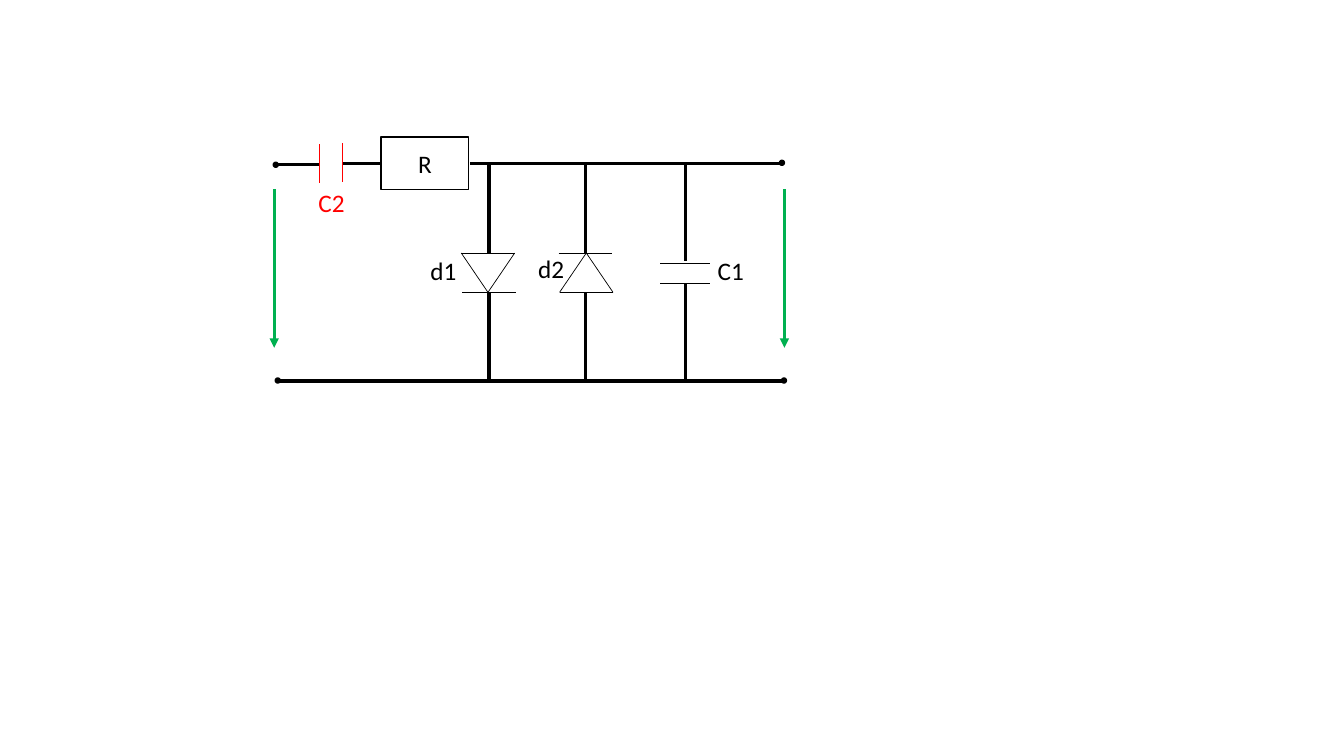
from dataclasses import dataclass

from lxml.etree import SubElement
from pptx import Presentation
from pptx.dml.color import RGBColor
from pptx.enum.shapes import MSO_CONNECTOR, MSO_SHAPE
from pptx.enum.text import MSO_AUTO_SIZE
from pptx.oxml.ns import qn
from pptx.util import Inches, Pt


@dataclass(frozen=True)
class Theme:
    ink: str = "000000"
    accent: str = "FF0000"
    voltage: str = "00B050"
    font: str = "Calibri"
    label_size: float = 18
    wire: float = 2.25
    outline: float = 1
    symbol: float = 0.5
    cell: float = 0.1  # grid pitch in inches


def write_text(box, text, *, font, size, color):
    frame = box.text_frame
    frame.word_wrap = False
    frame.auto_size = MSO_AUTO_SIZE.SHAPE_TO_FIT_TEXT
    span = frame.paragraphs[0].add_run()
    span.text = text
    span.font.name = font
    span.font.size = Pt(size)
    span.font.color.rgb = RGBColor.from_string(color)


class Circuit:
    """Draws circuit elements; positions are grid columns and rows."""

    def __init__(self, page, theme):
        self.page = page
        self.theme = theme

    def grid(self, *values):
        return [Inches(value * self.theme.cell) for value in values]

    def line(self, start, end, color=None, width=None, arrow=False, parent=None):
        shapes = (parent or self.page).shapes
        line = shapes.add_connector(MSO_CONNECTOR.STRAIGHT, *self.grid(*start, *end))
        line.line.color.rgb = RGBColor.from_string(color or self.theme.ink)
        line.line.width = Pt(width or self.theme.wire)
        properties = line._element.spPr
        if arrow:
            SubElement(properties.find(qn("a:ln")), qn("a:tailEnd"), type="triangle")
        SubElement(properties, qn("a:effectLst"))

    def shape(self, kind, left, top, width, height, filled=False):
        shape = self.page.shapes.add_shape(kind, *self.grid(left, top, width, height))
        shape.shadow.inherit = False
        if filled:
            shape.fill.solid()
            shape.fill.fore_color.rgb = RGBColor.from_string(self.theme.ink)
        else:
            shape.fill.background()
        shape.line.color.rgb = RGBColor.from_string(self.theme.ink)
        shape.line.width = Pt(self.theme.outline)

    def terminal(self, column, row, size=0.5):
        self.shape(MSO_SHAPE.OVAL, column - size / 2, row - size / 2, size, size, filled=True)

    def label(self, text, left, top, width=4.6, color=None):
        box = self.page.shapes.add_textbox(*self.grid(left, top, width, 4))
        write_text(box, text, font=self.theme.font, size=self.theme.label_size,
                   color=color or self.theme.ink)

    def diode(self, column, base, tip, bar_shift, half=2.65):
        group = self.page.shapes.add_group_shape()
        left, right = column - half, column + half
        strokes = [((left, base), (right, base)),
                   ((left, base), (column, tip)),
                   ((right, base), (column, tip)),
                   ((left + bar_shift, tip), (right + bar_shift, tip))]
        for start, end in strokes:
            self.line(start, end, width=self.theme.symbol, parent=group)


def main():
    deck = Presentation()
    deck.slide_width, deck.slide_height = Inches(13.33), Inches(7.5)
    theme = Theme()
    circuit = Circuit(deck.slides.add_slide(deck.slide_layouts[6]), theme)
    top_rail, bottom_rail = 16.2, 37.8
    symbol_top, symbol_bottom = 25.1, 29

    # Resistor
    circuit.shape(MSO_SHAPE.RECTANGLE, 37.8, 13.6, 8.7, 5.2)
    circuit.label("R", 40.5, 14.2, width=3.4)

    # Rails
    circuit.line((27.5, 16.3), (31.7, 16.3))
    circuit.line((34, top_rail), (37.8, top_rail))
    circuit.line((46.6, top_rail), (77.8, top_rail))
    circuit.line((27.8, bottom_rail), (77.8, bottom_rail))

    # Branches: column, end of upper wire, start of lower wire
    for column, upper, lower in [(48.5, symbol_top, symbol_bottom),
                                 (58.1, symbol_top, symbol_bottom),
                                 (68, 25.9, 28.1)]:
        circuit.line((column, top_rail), (column, upper))
        circuit.line((column, lower), (column, bottom_rail))

    # Diodes
    circuit.diode(48.4, symbol_top, symbol_bottom, bar_shift=0.1)
    circuit.diode(58.15, symbol_bottom, symbol_top, bar_shift=-0.1)
    circuit.label("d1", 41.7, 24.8)
    circuit.label("d2", 52.4, 24.6)

    # Output capacitor
    for row in (26.1, 28.1):
        circuit.line((65.5, row), (70.4, row), width=theme.symbol)
    circuit.label("C1", 70.2, 24.8)

    # Input capacitor
    for column, row in [(31.7, 14.3), (34, 14.2)]:
        circuit.line((column, row), (column, row + 3.9), color=theme.accent, width=theme.symbol)
    circuit.label("C2", 30.6, 18.1, color=theme.accent)

    # Terminals and voltage arrows
    for column, row in [(27.35, 16.35), (27.55, 37.75), (77.55, 16.15), (77.75, 37.75)]:
        circuit.terminal(column, row)
    for column in (27.2, 77.8):
        circuit.line((column, 18.8), (column, 34.5), color=theme.voltage, arrow=True)

    deck.save("out.pptx")


if __name__ == "__main__":
    main()
